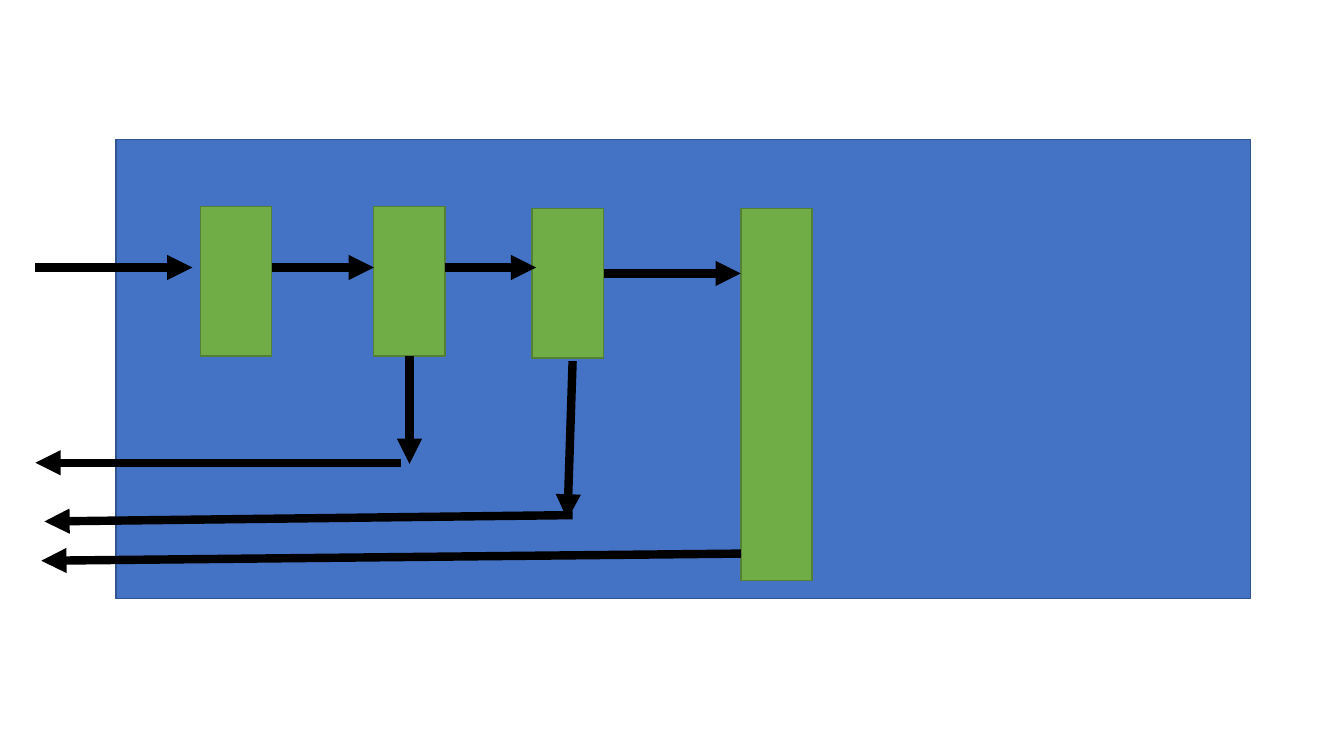
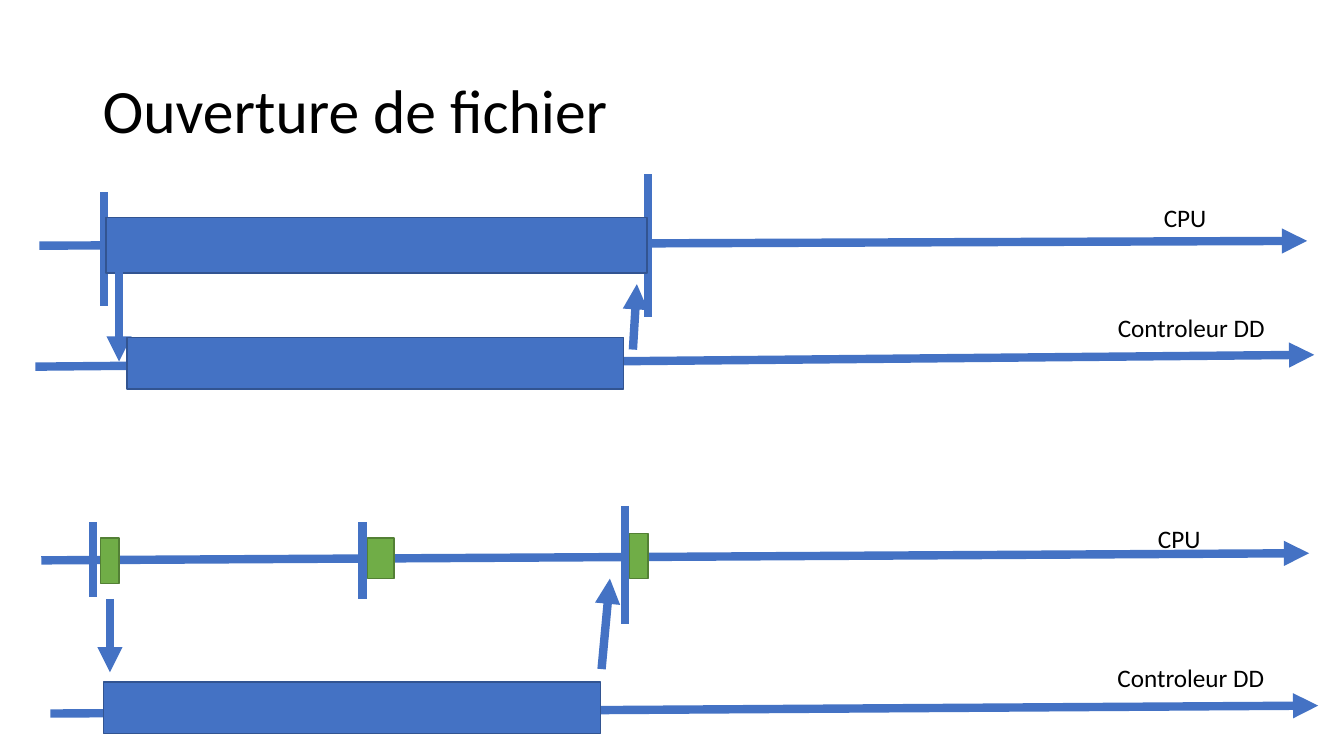
"""Build two slides on request flow and on file opening timelines."""
from dataclasses import dataclass

from lxml.etree import SubElement
from pptx import Presentation
from pptx.dml.color import RGBColor
from pptx.enum.shapes import MSO_CONNECTOR as Connector, MSO_SHAPE as Preset
from pptx.enum.text import MSO_ANCHOR as Anchor, MSO_AUTO_SIZE as AutoSize, PP_ALIGN as Align
from pptx.oxml.ns import qn
from pptx.util import Cm, Pt


@dataclass(frozen=True)
class Theme:
    """Colours, type sizes and line widths shared by the slides."""
    blue: str = "4472C4"
    blue_edge: str = "325491"
    green: str = "70AD47"
    green_edge: str = "538035"
    ink: str = "000000"
    font: str = "Calibri"
    title_size: int = 44
    label_size: int = 18
    edge_width: int = 1
    line_width: int = 6


THEME = Theme()
BLUE = (THEME.blue, THEME.blue_edge)
GREEN = (THEME.green, THEME.green_edge)


@dataclass(frozen=True)
class Timeline:
    """Parts of a CPU and disk controller timeline, in cm from its corner."""
    cpu_axis: tuple
    controller_axis: tuple
    ticks: tuple
    cpu_bars: tuple
    cpu_colors: tuple
    signals: tuple
    controller_bar: tuple
    cpu_label: tuple
    controller_label: tuple


BLOCKING = Timeline(
    cpu_axis=(0.1, 1.8, 32.05, 1.68),
    controller_axis=(0, 4.85, 32.23, 4.55),
    ticks=((1.73, 0.46, 3.33), (15.44, 0, 3.61)),
    cpu_bars=((1.78, 1.09, 13.64, 1.4),),
    cpu_colors=BLUE,
    signals=((2.11, 1.93, 2.11, 4.72), (15.06, 4.42, 15.16, 2.77)),
    controller_bar=(2.31, 4.11),
    cpu_label=(28.19, 0.58),
    controller_label=(27.03, 3.35),
)
INTERRUPTED = Timeline(
    cpu_axis=(0, 1.37, 31.95, 1.19),
    controller_axis=(0.23, 5.23, 32.18, 5.03),
    ticks=((1.3, 0.41, 2.29), (8.1, 0.41, 2.34), (14.71, 0, 2.97)),
    cpu_bars=((1.5, 0.81, 0.46, 1.14), (8.23, 0.81, 0.66, 1.02),
              (14.83, 0.69, 0.46, 1.14)),
    cpu_colors=GREEN,
    signals=((1.73, 2.34, 1.73, 4.19), (14.12, 4.11, 14.33, 1.83)),
    controller_bar=(1.57, 4.44),
    cpu_label=(27.89, 0.3),
    controller_label=(26.87, 3.81),
)


def write_text(shape, text, *, size, color=THEME.ink, wrap=True, anchor=Anchor.TOP,
               auto_size=AutoSize.NONE, spacing=1.0):
    """Put one left-aligned formatted paragraph in a shape."""
    frame = shape.text_frame
    frame.text = text
    frame.auto_size = auto_size
    frame.word_wrap = wrap
    frame.vertical_anchor = anchor
    paragraph = frame.paragraphs[0]
    paragraph.alignment = Align.LEFT
    paragraph.line_spacing = spacing
    font = paragraph.runs[0].font
    font.name = THEME.font
    font.size = Pt(size)
    font.color.rgb = RGBColor.from_string(color)


def add_box(slide, left, top, width, height, colors):
    """Add an outlined rectangle."""
    shape = slide.shapes.add_shape(Preset.RECTANGLE, Cm(left), Cm(top), Cm(width), Cm(height))
    fill, edge = colors
    shape.shadow.inherit = False
    shape.fill.solid()
    shape.fill.fore_color.rgb = RGBColor.from_string(fill)
    shape.line.color.rgb = RGBColor.from_string(edge)
    shape.line.width = Pt(THEME.edge_width)


def add_line(slide, origin, start_x, start_y, end_x, end_y, color, arrow=True):
    """Add a thick line from point to point, relative to an origin."""
    left, top = origin
    connector = slide.shapes.add_connector(
        Connector.STRAIGHT, Cm(left + start_x), Cm(top + start_y),
        Cm(left + end_x), Cm(top + end_y))
    connector.line.color.rgb = RGBColor.from_string(color)
    connector.line.width = Pt(THEME.line_width)
    if arrow:
        SubElement(connector.line._get_or_add_ln(), qn("a:tailEnd"), type="triangle")
    SubElement(connector._element.spPr, qn("a:effectLst"))


def add_label(slide, left, top, width, text):
    """Add a one-line label that does not wrap."""
    box = slide.shapes.add_textbox(Cm(left), Cm(top), Cm(width), Cm(1.02))
    write_text(box, text, size=THEME.label_size, wrap=False,
               auto_size=AutoSize.SHAPE_TO_FIT_TEXT)


def add_title(slide, left, top, width, height, text):
    """Place and format the title placeholder."""
    title = slide.shapes.title
    title.left, title.top, title.width, title.height = map(Cm, (left, top, width, height))
    write_text(title, text, size=THEME.title_size, anchor=Anchor.MIDDLE, spacing=0.9)


def draw_request_flow(slide, left, top, width, height):
    """Draw a panel of successive stages, each with its way back out."""
    add_box(slide, left, top, width, height, BLUE)
    block_width, block_height = 1.8, 3.76
    first, second, third, last = 2.13, 6.5, 10.49, 15.75
    for x, y, tall in ((first, 1.7, block_height), (second, 1.7, block_height),
                       (third, 1.75, block_height), (last, 1.75, 9.37)):
        add_box(slide, left + x, top + y, block_width, tall, GREEN)
    second_middle = second + block_width / 2
    forward = (
        (-2.03, 3.23, 1.93, 3.23),
        (first + block_width, 3.23, second, 3.23),
        (second + block_width, 3.23, third + 0.1, 3.23),
        (third + block_width, 3.38, last, 3.38),
    )
    returning = (
        (second_middle, 1.7 + block_height, second_middle, 8.18),
        (7.19, 8.15, -2.03, 8.15),
        (11.51, 5.59, 11.38, 9.58),
        (11.51, 9.47, -1.8, 9.63),
        (last, 10.44, -1.88, 10.62),
    )
    for arrow in forward + returning:
        add_line(slide, (left, top), *arrow, THEME.ink)


def draw_timeline(slide, left, top, timeline):
    """Draw CPU and controller axes with their activity and signals."""
    origin = left, top
    for axis in (timeline.cpu_axis, timeline.controller_axis):
        add_line(slide, origin, *axis, THEME.blue)
    for x, start, end in timeline.ticks:
        add_line(slide, origin, x, start, x, end, THEME.blue, arrow=False)
    for x, y, width, height in timeline.cpu_bars:
        add_box(slide, left + x, top + y, width, height, timeline.cpu_colors)
    for signal in timeline.signals:
        add_line(slide, origin, *signal, THEME.blue)
    x, y = timeline.controller_bar
    add_box(slide, left + x, top + y, 12.52, 1.3, BLUE)
    for (x, y), width, text in ((timeline.cpu_label, 1.6, "CPU"),
                                (timeline.controller_label, 4.27, "Controleur DD")):
        add_label(slide, left + x, top + y, width, text)


def main():
    """Build and save the presentation."""
    presentation = Presentation()
    presentation.slide_width, presentation.slide_height = Cm(33.87), Cm(19.05)
    title_only, blank = presentation.slide_layouts[5], presentation.slide_layouts[6]

    flow_slide = presentation.slides.add_slide(blank)
    draw_request_flow(flow_slide, 2.92, 3.51, 28.6, 11.58)

    opening_slide = presentation.slides.add_slide(title_only)
    add_title(opening_slide, 2.33, 1.01, 29.21, 3.68, "Ouverture de fichier")
    draw_timeline(opening_slide, 0.89, 4.39, BLOCKING)
    draw_timeline(opening_slide, 1.04, 12.75, INTERRUPTED)

    presentation.save("out.pptx")


main()
